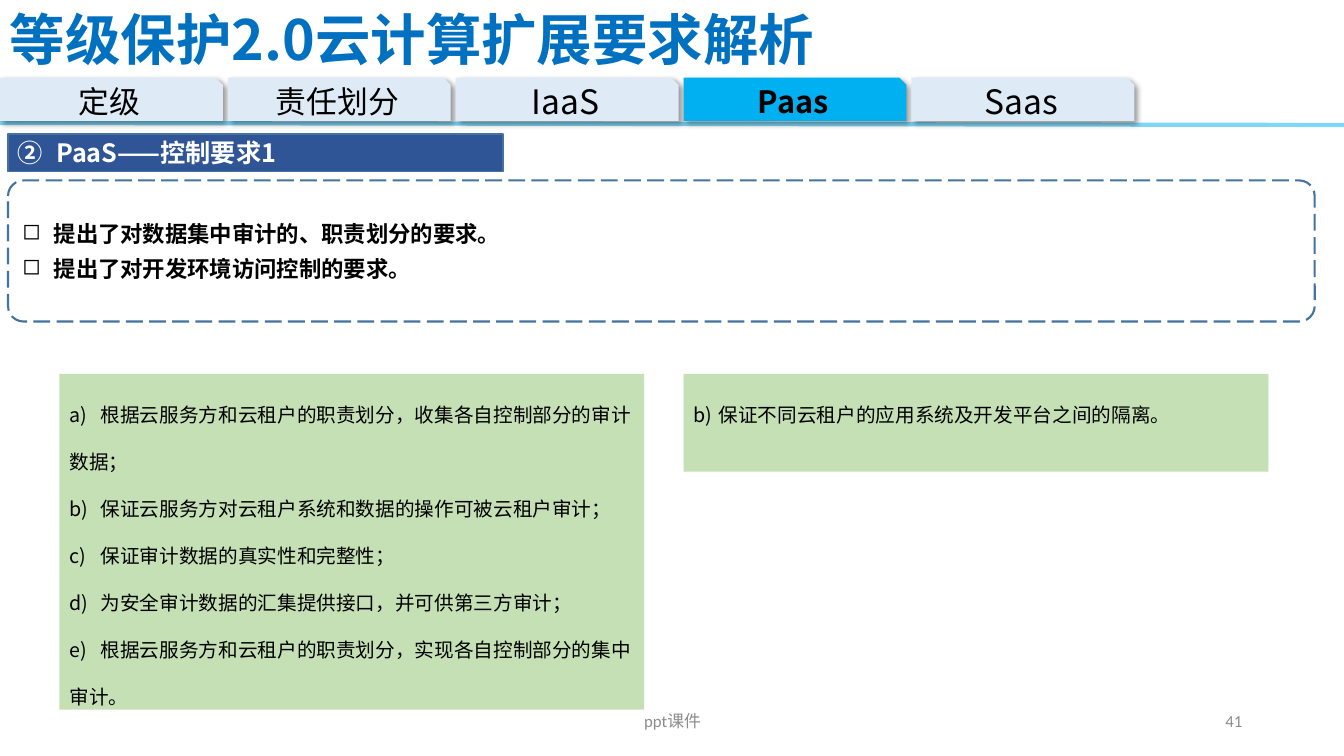
"""Build the slide on PaaS control requirements for classified cloud protection."""
from lxml import etree
from pptx import Presentation
from pptx.dml.color import RGBColor
from pptx.enum.dml import MSO_LINE
from pptx.enum.shapes import MSO_CONNECTOR, MSO_SHAPE
from pptx.enum.text import MSO_ANCHOR, MSO_AUTO_SIZE, PP_ALIGN
from pptx.oxml.ns import qn
from pptx.util import Inches, Pt

LEFT, CENTER, RIGHT, JUSTIFY = PP_ALIGN.LEFT, PP_ALIGN.CENTER, PP_ALIGN.RIGHT, PP_ALIGN.JUSTIFY
TOP, MIDDLE = MSO_ANCHOR.TOP, MSO_ANCHOR.MIDDLE
RECTANGLE = MSO_SHAPE.RECTANGLE
FONT = "Noto Sans CJK SC"
COLORS = {
    "black": "000000", "white": "FFFFFF", "title": "0070C0", "tab": "DEEBF7",
    "active": "00B0F0", "heading": "2F5597", "outline": "43739E",
    "card": "C5E0B4", "footer": "8C8C8C",
}


def add_box(kind, left, top, width, height, fill=None, line=None, line_width=1):
    position = [Inches(value) for value in (left, top, width, height)]
    if kind is None:
        return slide.shapes.add_textbox(*position)
    shape = slide.shapes.add_shape(kind, *position)
    shape.shadow.inherit = False
    if fill:
        shape.fill.solid()
        shape.fill.fore_color.rgb = RGBColor.from_string(COLORS[fill])
    else:
        shape.fill.background()
    if line:
        shape.line.color.rgb = RGBColor.from_string(COLORS[line])
        shape.line.width = Pt(line_width)
    else:
        shape.line.fill.background()
    return shape


def write(shape, texts, size, color="black", bold=False, align=LEFT, anchor=MIDDLE,
          font=FONT, spacing=None, indent=0, bullet=None, tab=None):
    frame = shape.text_frame
    frame.word_wrap = True
    frame.vertical_anchor = anchor
    for index, text in enumerate(texts):
        paragraph = frame.add_paragraph() if index else frame.paragraphs[0]
        properties = paragraph._p.get_or_add_pPr()
        if indent:
            properties.set("marL", str(Inches(indent)))
            properties.set("indent", str(-Inches(indent)))
        if bullet:
            tag, attributes = bullet
            etree.SubElement(properties, qn(tag), attributes)
        if tab:
            stops = etree.SubElement(properties, qn("a:tabLst"))
            etree.SubElement(stops, qn("a:tab"), {"pos": str(Inches(tab)), "algn": "l"})
        for name, value in {"alignment": align, **(spacing or {})}.items():
            setattr(paragraph, name, value)
        run = paragraph.add_run()
        run.text = text
        for name, value in {"size": Pt(size), "bold": bold, "name": font}.items():
            setattr(run.font, name, value)
        run.font.color.rgb = RGBColor.from_string(COLORS[color])
        etree.SubElement(run._r.get_or_add_rPr(), qn("a:ea"), {"typeface": FONT})


presentation = Presentation()
presentation.slide_width = Inches(13.33)
presentation.slide_height = Inches(7.5)
slide = presentation.slides.add_slide(presentation.slide_layouts[6])

rule = slide.shapes.add_connector(
    MSO_CONNECTOR.STRAIGHT, Inches(0), Inches(1.22), Inches(13.33), Inches(1.24))
rule.line.color.rgb = RGBColor.from_string(COLORS["active"])
rule.line.width = Pt(3)
rule_properties = rule._element.spPr
rule_color = next(rule_properties.iter(qn("a:srgbClr")))
etree.SubElement(rule_color, qn("a:alpha"), {"val": "50000"})
etree.SubElement(rule_properties, qn("a:effectLst"))

title = add_box(None, 0, 0.01, 8.61, 0.75)
write(title, ["等级保护2.0云计算扩展要求解析"], 39.6, "title", True, JUSTIFY)

tabs = [("定级", 22), ("责任划分", 22), ("IaaS", 24), ("Paas", 22), ("Saas", 24)]
for index, (label, size) in enumerate(tabs):
    active = label == "Paas"
    shape = add_box(MSO_SHAPE.SNIP_1_RECTANGLE, index * 2.26, 0.77, 2.21, 0.43,
                    "active" if active else "tab")
    effects = shape._element.spPr.find(qn("a:effectLst"))
    shadow = etree.SubElement(effects, qn("a:outerShdw"), {
        "blurRad": str(Pt(4)), "dist": str(Pt(3)), "dir": "2700000",
        "algn": "tl", "rotWithShape": "0"})
    shadow_color = etree.SubElement(shadow, qn("a:srgbClr"), {"val": COLORS["black"]})
    etree.SubElement(shadow_color, qn("a:alpha"), {"val": "40000"})
    write(shape, [label], size, bold=active, align=CENTER)

heading = add_box(RECTANGLE, 0.08, 1.33, 4.91, 0.37, "heading", "outline")
write(heading, ["PaaS——控制要求1"], 18, "white", True, JUSTIFY, indent=0.38,
      bullet=("a:buAutoNum", {"type": "circleNumDbPlain", "startAt": "2"}))

summary = add_box(MSO_SHAPE.ROUNDED_RECTANGLE, 0.08, 1.79, 12.96, 1.4,
                  line="outline", line_width=1.5)
summary.adjustments[0] = 0.11
summary.line.dash_style = MSO_LINE.LONG_DASH
write(summary, ["提出了对数据集中审计的、职责划分的要求。", "提出了对开发环境访问控制的要求。"],
      16, bold=True, align=JUSTIFY, spacing={"space_after": Pt(6)}, indent=0.31,
      bullet=("a:buChar", {"char": "◻"}))

audit_rules = [
    "a)\t根据云服务方和云租户的职责划分，收集各自控制部分的审计数据；",
    "b)\t保证云服务方对云租户系统和数据的操作可被云租户审计；",
    "c)\t保证审计数据的真实性和完整性；",
    "d)\t为安全审计数据的汇集提供接口，并可供第三方审计；",
    "e)\t根据云服务方和云租户的职责划分，实现各自控制部分的集中审计。",
]
isolation_rules = ["保证不同云租户的应用系统及开发平台之间的隔离。"]
lettered = ("a:buAutoNum", {"type": "alphaLcParenR", "startAt": "2"})
cards = [
    (0.59, 3.33, audit_rules, {"tab": 0.31}),
    (6.78, 0.97, isolation_rules, {"indent": 0.25, "bullet": lettered}),
]
for left, height, texts, layout in cards:
    card = add_box(RECTANGLE, left, 3.71, 5.8, height, "card")
    write(card, texts, 14, anchor=TOP, spacing={"line_spacing": 2.0}, **layout)
    card.text_frame.auto_size = MSO_AUTO_SIZE.SHAPE_TO_FIT_TEXT

for left, width, text, align in [(9.42, 3, "41", RIGHT), (4.42, 4.5, "ppt课件", CENTER)]:
    footer = add_box(None, left, 6.95, width, 0.4)
    write(footer, [text], 12, "footer", align=align, font="Calibri")

presentation.save("out.pptx")
